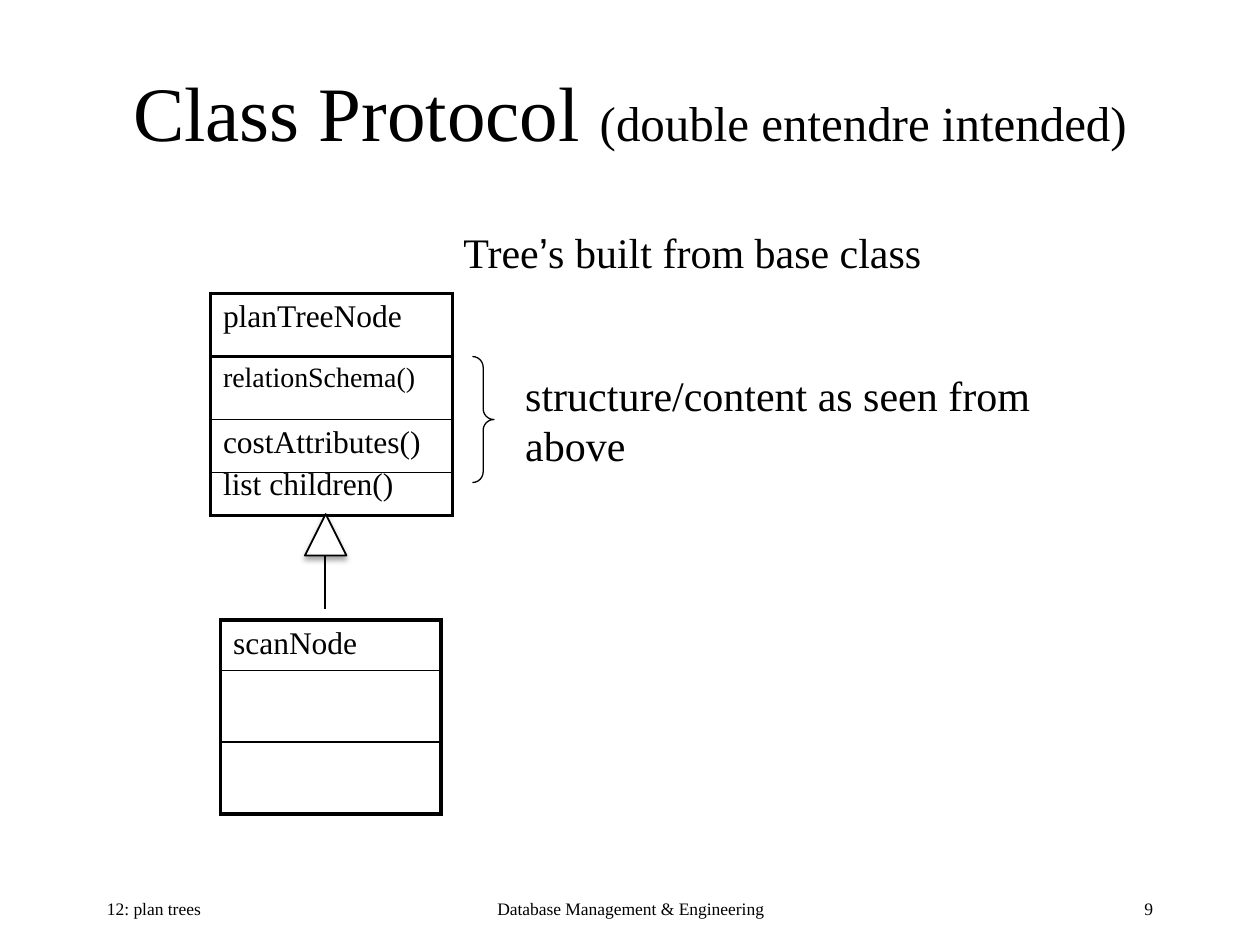
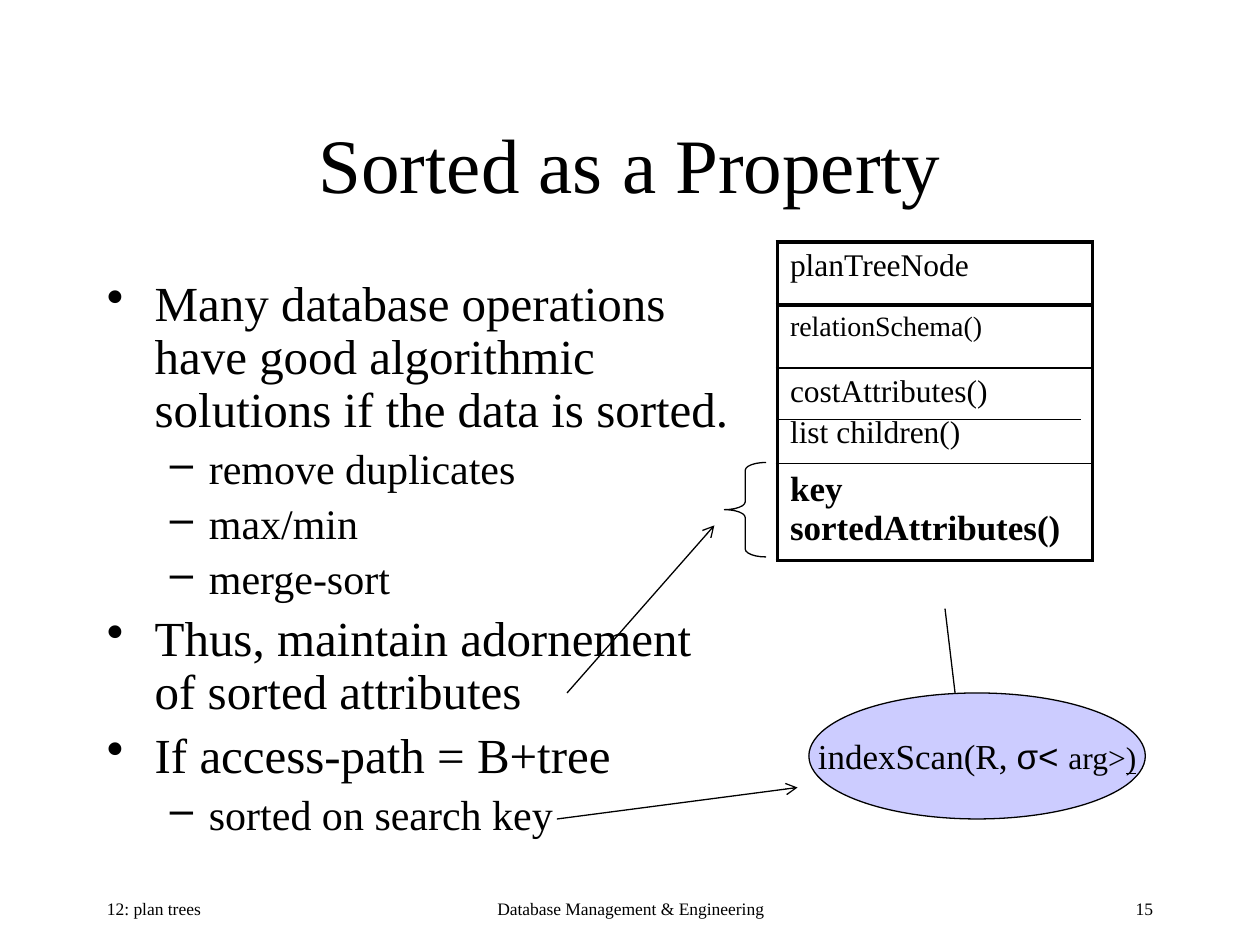
from dataclasses import dataclass
from typing import Any, NamedTuple, Optional

from lxml import etree
from pptx import Presentation
from pptx import util as u
from pptx.dml import color
from pptx.enum import shapes, text
from pptx.oxml import ns, xmlchemy


@dataclass(frozen=True)
class Theme:
    ink: color.RGBColor = color.RGBColor(0x00, 0x00, 0x00)
    paper: color.RGBColor = color.RGBColor(0xFF, 0xFF, 0xFF)
    lilac: color.RGBColor = color.RGBColor(0xCC, 0xCC, 0xFF)
    serif: str = "Times New Roman"
    sans: str = "Arial"
    title: float = 44
    body: float = 28
    note: float = 24
    strong: float = 20
    member: float = 18
    small_member: float = 16
    footer: float = 10
    hairline: float = 0.75
    rule: float = 1
    frame: float = 2.25


THEME = Theme()


class Box(NamedTuple):
    left: float
    top: float
    width: float
    height: float

    def lengths(self) -> list[u.Length]:
        return [u.Inches(value) for value in self]


class Run(NamedTuple):
    text: str
    size: float
    font: str = THEME.serif
    bold: bool = False
    underline: bool = False


class Line(NamedTuple):
    start: tuple[float, float]
    end: tuple[float, float]
    head: Optional[str] = None


class ClassRow(NamedTuple):
    """One compartment of a class box; rule is the width of its lower border."""
    height: float
    members: tuple[str, ...] = ()
    size: float = THEME.member
    rule: float = THEME.rule
    bold: bool = False


class Level(NamedTuple):
    bullet: str
    size: float
    indent: float
    hanging: float


class Footer(NamedTuple):
    box: Box
    alignment: Any


LEVELS = (
    Level("•", THEME.body, 0.38, 0.38),
    Level("–", THEME.note, 0.81, 0.31),
)
FOOTERS = (
    Footer(Box(0.75, 7.08, 2.08, 0.25), text.PP_ALIGN.LEFT),
    Footer(Box(3.42, 7.08, 3.17, 0.25), text.PP_ALIGN.CENTER),
    Footer(Box(7.17, 7.08, 2.08, 0.25), text.PP_ALIGN.RIGHT),
)
BASE_ROWS = (
    ClassRow(0.5, ("planTreeNode",), rule=THEME.frame),
    ClassRow(0.5, ("relationSchema()",), THEME.small_member),
    ClassRow(0.76, ("costAttributes()", "list children()")),
)
SCAN_ROWS = (ClassRow(0.4, ("scanNode",)), ClassRow(0.57), ClassRow(0.57))
SORTED_ROW = ClassRow(0.77, ("key sortedAttributes()",), THEME.strong, bold=True)
SORTED_POINTS = (
    (0, "Many database operations have good algorithmic solutions if the data is sorted."),
    (1, "remove duplicates"),
    (1, "max/min"),
    (1, "merge-sort"),
    (0, "Thus, maintain adornement of sorted attributes"),
    (0, "If access-path = B+tree"),
    (1, "sorted on search key"),
)


def apply(target: Any, **values: Any) -> None:
    for name, value in values.items():
        setattr(target, name, value)


def add_element(parent: Any, tag: str, **attributes: str) -> Any:
    return etree.SubElement(parent, ns.qn(tag), attributes)


def write_runs(paragraph: Any, *runs: Run, **paragraph_format: Any) -> None:
    apply(paragraph, **paragraph_format)
    for item in runs:
        run = paragraph.add_run()
        run.text = item.text
        apply(run.font, name=item.font, size=u.Pt(item.size),
              bold=item.bold, underline=item.underline)
        run.font.color.rgb = THEME.ink


def next_paragraph(frame: Any, index: int) -> Any:
    return frame.add_paragraph() if index else frame.paragraphs[0]


def add_text(slide: Any, box: Box, *runs: Run, alignment: Any = text.PP_ALIGN.LEFT) -> Any:
    frame = slide.shapes.add_textbox(*box.lengths()).text_frame
    frame.word_wrap = True
    write_runs(frame.paragraphs[0], *runs, alignment=alignment)
    return frame


def add_slide(presentation: Any, title_top: float, number: str, *title_runs: Run) -> Any:
    """Add a title-only slide with its title and the three footers."""
    slide = presentation.slides.add_slide(presentation.slide_layouts[5])
    title = slide.shapes.title
    left, top, width, height = Box(0.75, title_top, 8.5, 1.25).lengths()
    apply(title, left=left, top=top, width=width, height=height)
    apply(title.text_frame, word_wrap=True, auto_size=text.MSO_AUTO_SIZE.NONE,
          vertical_anchor=text.MSO_ANCHOR.MIDDLE)
    write_runs(title.text_frame.paragraphs[0], *title_runs,
               alignment=text.PP_ALIGN.CENTER)
    labels = ("12: plan trees", "Database Management & Engineering", number)
    for footer, label in zip(FOOTERS, labels):
        add_text(slide, footer.box, Run(label, THEME.footer), alignment=footer.alignment)
    return slide


def set_borders(cell: Any, top: float, bottom: float) -> None:
    properties = cell._tc.get_or_add_tcPr()
    widths = {"L": THEME.frame, "R": THEME.frame, "T": top, "B": bottom}
    for position, (side, width) in enumerate(widths.items()):
        border = xmlchemy.OxmlElement(f"a:ln{side}")
        border.set("w", str(u.Pt(width)))
        fill = add_element(border, "a:solidFill")
        add_element(fill, "a:srgbClr", val=str(THEME.ink))
        properties.insert(position, border)


def add_class_box(slide: Any, left: float, top: float, width: float,
                  rows: tuple[ClassRow, ...]) -> None:
    box = Box(left, top, width, sum(row.height for row in rows))
    table = slide.shapes.add_table(len(rows), 1, *box.lengths()).table
    apply(table, first_row=False, horz_banding=False)
    upper = THEME.frame
    for index, row in enumerate(rows):
        table.rows[index].height = u.Inches(row.height)
        cell = table.cell(index, 0)
        cell.fill.background()
        lower = THEME.frame if index == len(rows) - 1 else row.rule
        set_borders(cell, upper, lower)
        upper = lower
        for position, member in enumerate(row.members):
            write_runs(next_paragraph(cell.text_frame, position),
                       Run(member, row.size, bold=row.bold),
                       space_before=u.Pt(0.2 * row.size))


def add_line(slide: Any, line: Line) -> None:
    points = [u.Inches(value) for value in (*line.start, *line.end)]
    connector = slide.shapes.add_connector(shapes.MSO_CONNECTOR.STRAIGHT, *points)
    connector.line.color.rgb = THEME.ink
    connector.line.width = u.Pt(THEME.hairline)
    if line.head:
        add_element(connector.line._get_or_add_ln(), "a:tailEnd", type=line.head)
    add_element(connector._element.spPr, "a:effectLst")


def add_outline_shape(slide: Any, kind: Any, box: Box,
                      fill: Optional[color.RGBColor] = None,
                      width: float = THEME.hairline) -> Any:
    shape = slide.shapes.add_shape(kind, *box.lengths())
    shape.shadow.inherit = False
    if fill is None:
        shape.fill.background()
    else:
        shape.fill.solid()
        shape.fill.fore_color.rgb = fill
    shape.line.color.rgb = THEME.ink
    shape.line.width = u.Pt(width)
    return shape


def add_brace(slide: Any, kind: Any, box: Box, curl: float) -> None:
    brace = add_outline_shape(slide, kind, box)
    brace.adjustments[0], brace.adjustments[1] = curl, 0.5


def add_inheritance_head(slide: Any, box: Box) -> None:
    """Draw the white triangle of an inheritance arrow with a soft shadow below."""
    triangle = add_outline_shape(slide, shapes.MSO_SHAPE.ISOSCELES_TRIANGLE, box,
                                 THEME.paper, THEME.rule)
    effects = triangle._element.spPr.find(ns.qn("a:effectLst"))
    shadow = add_element(effects, "a:outerShdw", blurRad=str(u.Pt(3.1)),
                         dist=str(u.Pt(1.8)), dir="5400000", rotWithShape="0")
    tint = add_element(shadow, "a:srgbClr", val=str(THEME.ink))
    add_element(tint, "a:alpha", val="35000")


def add_bullets(slide: Any, box: Box, points: tuple[tuple[int, str], ...]) -> None:
    frame = add_text(slide, box)
    for index, (depth, label) in enumerate(points):
        level = LEVELS[depth]
        paragraph = next_paragraph(frame, index)
        write_runs(paragraph, Run(label, level.size), level=depth, line_spacing=0.9,
                   space_before=u.Pt(round(0.23 * level.size, 1)))
        properties = paragraph._p.get_or_add_pPr()
        properties.set("marL", str(u.Inches(level.indent)))
        properties.set("indent", str(-u.Inches(level.hanging)))
        add_element(properties, "a:buChar", char=level.bullet)


def build_class_protocol(presentation: Any) -> None:
    slide = add_slide(presentation, 0.25, "9", Run("Class Protocol ", THEME.title),
                      Run("(double entendre intended)", THEME.body))
    add_class_box(slide, 1.67, 2.33, 1.92, BASE_ROWS)
    add_line(slide, Line((1.67, 3.75), (3.58, 3.75)))
    add_brace(slide, shapes.MSO_SHAPE.RIGHT_BRACE, Box(3.75, 2.83, 0.17, 1), 0.5)
    add_text(slide, Box(4.07, 2.88, 5.08, 0.5),
             Run("structure/content as seen from above", THEME.note))
    add_class_box(slide, 1.75, 4.92, 1.75, SCAN_ROWS)
    add_line(slide, Line((2.58, 4.83), (2.58, 4.17), "triangle"))
    add_text(slide, Box(3.58, 1.75, 4, 0.5), Run("Tree", THEME.note),
             Run("’", THEME.note, THEME.sans), Run("s built from base class", THEME.note))
    add_inheritance_head(slide, Box(2.42, 4.08, 0.33, 0.33))


def build_sorted_property(presentation: Any) -> None:
    slide = add_slide(presentation, 0.67, "15", Run("Sorted as a Property", THEME.title))
    add_bullets(slide, Box(0.75, 2.17, 5.17, 4.5), SORTED_POINTS)
    add_class_box(slide, 6.17, 1.92, 2.5, (*BASE_ROWS, SORTED_ROW))
    add_line(slide, Line((6.17, 3.33), (8.58, 3.33)))
    scan = add_outline_shape(slide, shapes.MSO_SHAPE.OVAL, Box(6.42, 5.5, 2.67, 1),
                             THEME.lilac)
    apply(scan.text_frame, word_wrap=False, vertical_anchor=text.MSO_ANCHOR.MIDDLE)
    write_runs(scan.text_frame.paragraphs[0], Run("indexScan(R, ", THEME.strong),
               Run("σ< ", THEME.strong, THEME.sans), Run("arg>", THEME.member),
               Run(")", THEME.member, underline=True), alignment=text.PP_ALIGN.CENTER)
    add_brace(slide, shapes.MSO_SHAPE.LEFT_BRACE, Box(5.75, 3.67, 0.33, 0.75), 0.19)
    for line in (Line((7.58, 5.5), (7.5, 4.83)),
                 Line((4.5, 5.5), (5.67, 4.17), "arrow"),
                 Line((4.42, 6.5), (6.33, 6.25), "arrow")):
        add_line(slide, line)


def main() -> None:
    presentation = Presentation()
    apply(presentation, slide_width=u.Inches(10), slide_height=u.Inches(7.5))
    build_class_protocol(presentation)
    build_sorted_property(presentation)
    presentation.save("out.pptx")


if __name__ == "__main__":
    main()
